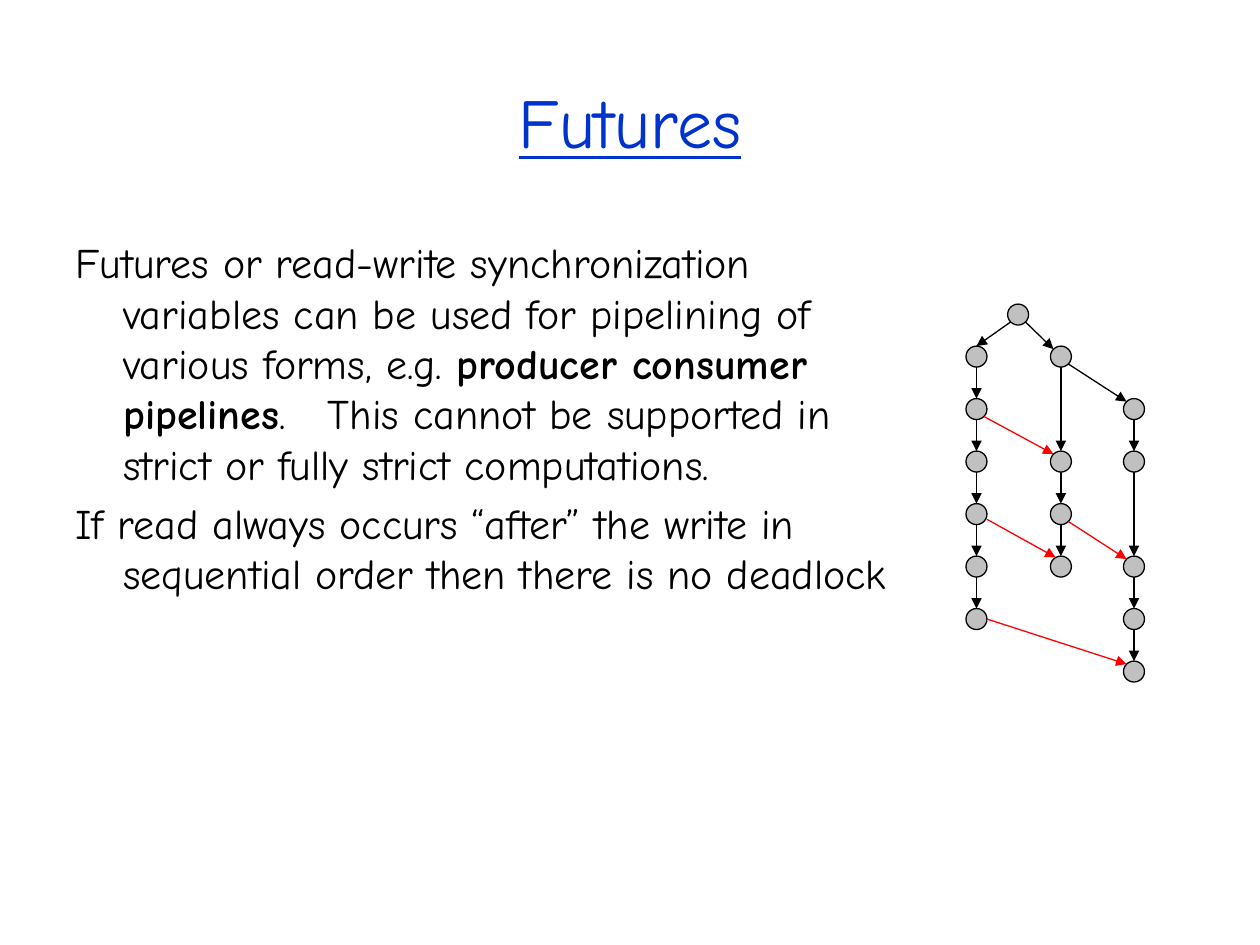
"""Build the Futures slide: two statements beside a pipelined computation graph."""
from itertools import pairwise
from typing import NamedTuple

from lxml import etree
from pptx import Presentation
from pptx import util as u
from pptx.dml.color import RGBColor
from pptx.enum import shapes, text
from pptx.oxml.ns import qn

FONT = "Comic Neue"
BLACK, BLUE, RED, GREY = "000000", "0033CC", "FF0000", "C0C0C0"
RADIUS = 1 / 12
TOP_ROW, ROW_STEP = 2.83, 5 / 12
COLUMN_X = {"root": 8.08, "left": 7.75, "middle": 8.42, "right": 9}
THREADS = {"root": [-0.8], "left": [0, 1, 2, 3, 4, 5],
           "middle": [0, 2, 3, 4], "right": [1, 2, 4, 5, 6]}
PORTS = {"top": (0, -1), "bottom": (0, 1), "east": (1, 0), "east low": (1, 0.5),
         "SW": (-0.71, 0.71), "SE": (0.71, 0.71), "NW": (-0.71, -0.71),
         "top left": (-0.5, -0.87)}
STATEMENTS = [
    [("Futures or read-write synchronization variables can be used for "
      "pipelining of various forms, e.g. ", False),
     ("producer consumer pipelines", True),
     (".   This cannot be supported in strict or fully strict computations.", False)],
    [("If read always occurs “after” the write in sequential order "
      "then there is no deadlock", False)],
]


class Step(NamedTuple):
    """One node of the graph, by thread and row."""
    thread: str
    row: float

    def point(self, port=None) -> tuple[float, float]:
        """Return the centre of the node, or a port on its rim."""
        dx, dy = PORTS.get(port, (0, 0))
        return (COLUMN_X[self.thread] + dx * RADIUS,
                TOP_ROW + self.row * ROW_STEP + dy * RADIUS)


class Edge(NamedTuple):
    """An arrow between two steps."""
    start: Step
    start_port: str
    end: Step
    end_port: str
    color: str = BLACK


ROOT = Step("root", -0.8)
SPAWNS = [
    Edge(ROOT, "SW", Step("left", 0), "top"),
    Edge(ROOT, "SE", Step("middle", 0), "NW"),
    Edge(Step("middle", 0), "SE", Step("right", 1), "NW"),
]
READS = [
    Edge(Step("left", 1), "SE", Step("middle", 2), "NW", RED),
    Edge(Step("left", 3), "east low", Step("middle", 4), "top left", RED),
    Edge(Step("middle", 3), "SE", Step("right", 4), "NW", RED),
    Edge(Step("left", 5), "east", Step("right", 6), "NW", RED),
]


def rgb(color: str) -> RGBColor:
    """Turn a hex string into a colour."""
    return RGBColor.from_string(color)


def apply(target, **values) -> None:
    """Set each named attribute on the target."""
    for key, value in values.items():
        setattr(target, key, value)


def style_font(font, color: str, **values) -> None:
    """Give a font the slide's typeface, a colour and further values."""
    apply(font, name=FONT, **values)
    font.color.rgb = rgb(color)


def draw_title(slide) -> None:
    """Place and format the title placeholder."""
    title = slide.shapes.title
    apply(title, left=u.Inches(0.75), top=u.Inches(0.5),
          width=u.Inches(8.5), height=u.Inches(0.92))
    title.text_frame.vertical_anchor = text.MSO_ANCHOR.MIDDLE
    heading = title.text_frame.paragraphs[0]
    heading.alignment = text.PP_ALIGN.CENTER
    run = heading.add_run()
    run.text = "Futures"
    style_font(run.font, BLUE, size=u.Pt(40), underline=True)


def draw_statements(slide) -> None:
    """Write the statements with hanging indents."""
    frame = slide.shapes.add_textbox(
        *map(u.Inches, (0.5, 1.83, 6.75, 4.5))).text_frame
    frame.word_wrap = True
    for index, statement in enumerate(STATEMENTS):
        paragraph = frame.add_paragraph() if index else frame.paragraphs[0]
        paragraph.space_before = u.Pt(4.8)
        properties = paragraph._p.get_or_add_pPr()
        properties.set("marL", str(u.Inches(0.38)))
        properties.set("indent", str(u.Inches(-0.38)))
        for words, bold in statement:
            run = paragraph.add_run()
            run.text = words
            style_font(run.font, BLACK, size=u.Pt(24), bold=bold)


def draw_step(slide, step: Step) -> None:
    """Draw a node as a grey circle."""
    x, y = step.point()
    circle = slide.shapes.add_shape(
        shapes.MSO_SHAPE.OVAL,
        *map(u.Inches, (x - RADIUS, y - RADIUS, 2 * RADIUS, 2 * RADIUS)))
    circle.shadow.inherit = False
    circle.fill.solid()
    circle.fill.fore_color.rgb = rgb(GREY)
    circle.line.color.rgb = rgb(BLACK)
    circle.line.width = u.Pt(0.75)


def draw_edge(slide, edge: Edge) -> None:
    """Draw an arrow from port to port."""
    ends = edge.start.point(edge.start_port) + edge.end.point(edge.end_port)
    arrow = slide.shapes.add_connector(
        shapes.MSO_CONNECTOR.STRAIGHT, *map(u.Inches, ends))
    arrow.line.color.rgb = rgb(edge.color)
    arrow.line.width = u.Pt(0.75)
    etree.SubElement(arrow.line._get_or_add_ln(), qn("a:tailEnd"), type="triangle")
    etree.SubElement(arrow._element.spPr, qn("a:effectLst"))


def main() -> None:
    """Build and save the slide."""
    deck = Presentation()
    apply(deck, slide_width=u.Inches(10), slide_height=u.Inches(7.5))
    slide = deck.slides.add_slide(deck.slide_layouts[5])
    draw_title(slide)
    draw_statements(slide)
    threads = [[Step(name, row) for row in rows] for name, rows in THREADS.items()]
    chains = [Edge(upper, "bottom", lower, "top")
              for thread in threads for upper, lower in pairwise(thread)]
    for thread in threads:
        for step in thread:
            draw_step(slide, step)
    for edge in chains + SPAWNS + READS:
        draw_edge(slide, edge)
    deck.save("out.pptx")


if __name__ == "__main__":
    main()
